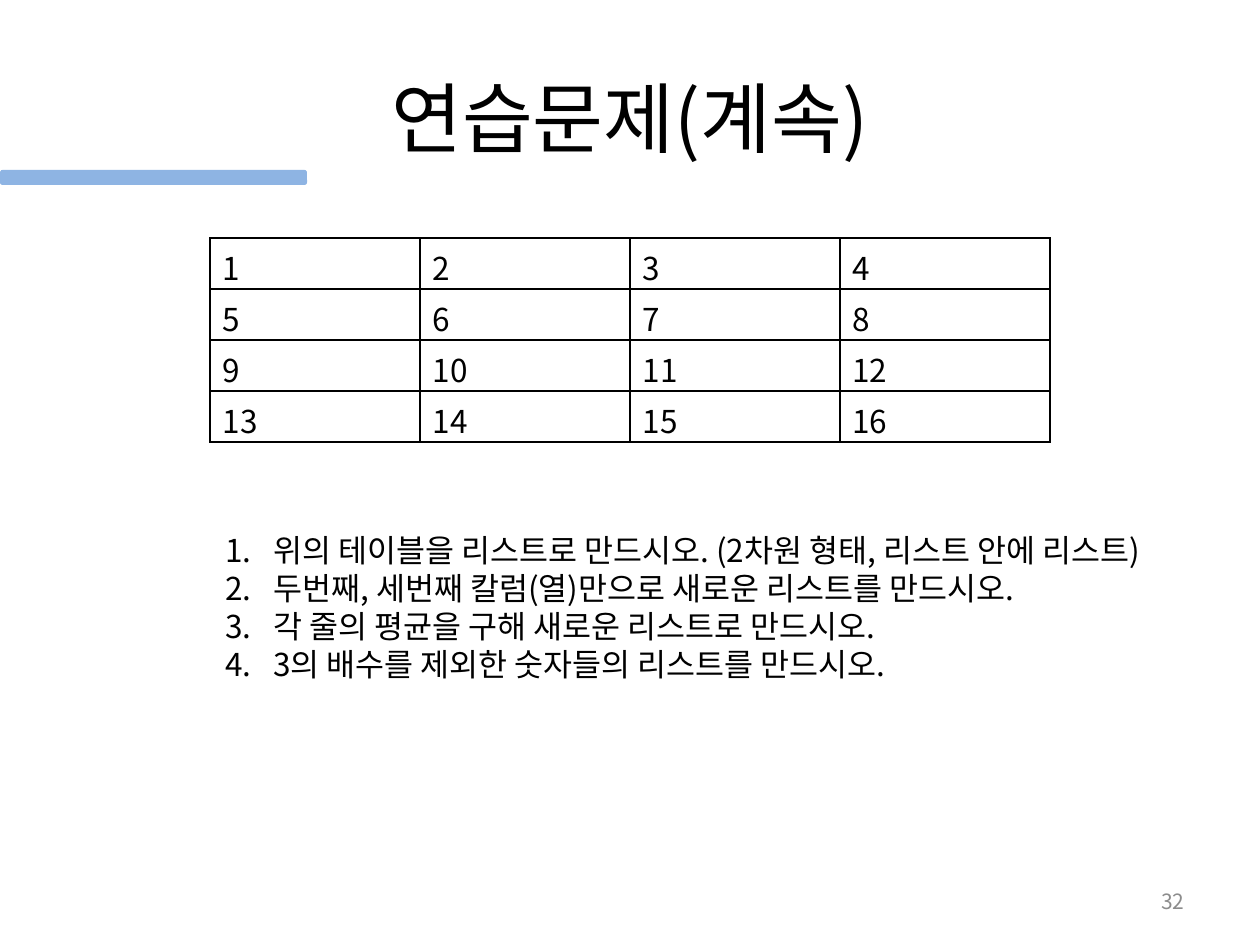
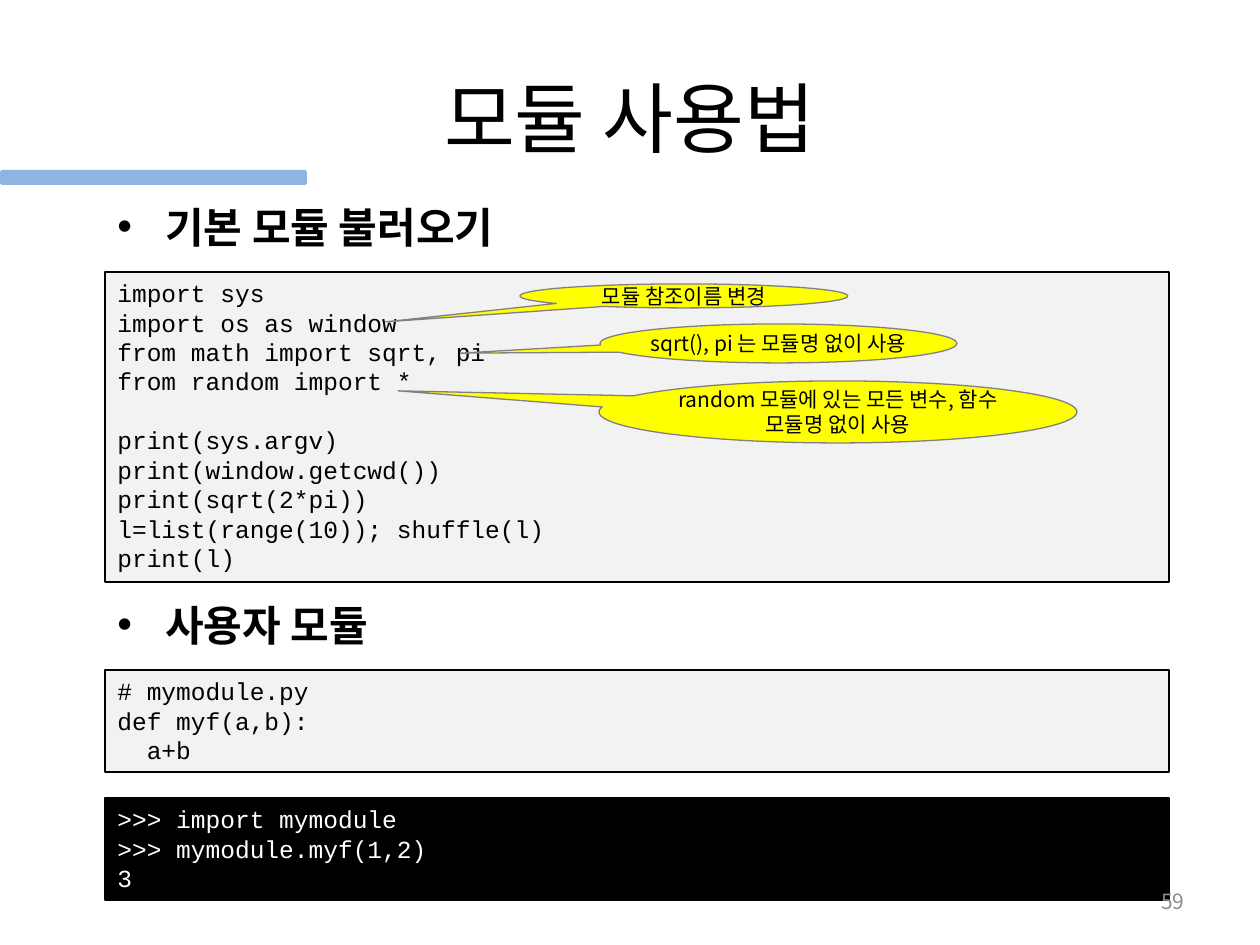
from lxml.etree import SubElement
from pptx import Presentation
from pptx.dml.color import RGBColor
from pptx.enum.shapes import MSO_SHAPE as Shape
from pptx.enum.text import MSO_ANCHOR as Anchor, PP_ALIGN as Align
from pptx.oxml.ns import qn
from pptx.util import Emu, Pt

# Shared look
BLACK = RGBColor(0x00, 0x00, 0x00)
WHITE = RGBColor(0xFF, 0xFF, 0xFF)
CODE_GRAY = RGBColor(0xF2, 0xF2, 0xF2)
CALLOUT_YELLOW = RGBColor(0xFF, 0xFF, 0x00)
CALLOUT_EDGE = RGBColor(0x80, 0x80, 0x80)
BAND_BLUE = RGBColor(0x8E, 0xB4, 0xE3)
NUMBER_GRAY = RGBColor(0x8C, 0x8C, 0x8C)
BODY_FONT = "Noto Sans CJK KR"
CODE_FONT = "Courier New"
PIXEL = 914400 // 126
LINE_HEIGHT = 1.2
CODE_SIZE = 14
HANGING = 48
CODE_LEFT, CODE_WIDTH = 105, 1064


def px(*lengths):
    return [Emu(length * PIXEL) for length in lengths]


def style(paragraph, size, color=BLACK, font=BODY_FONT, bold=None,
          align=Align.LEFT, tight=False):
    paragraph.alignment = align
    if tight:
        paragraph.line_spacing = Pt(size * LINE_HEIGHT)
    paragraph.font.size = Pt(size)
    paragraph.font.bold = bold
    paragraph.font.color.rgb = color
    paragraph.font.name = font
    SubElement(paragraph._p.pPr.defRPr, qn("a:ea"), typeface=font)


def set_bullet(paragraph, numbered=False):
    properties = paragraph._p.get_or_add_pPr()
    properties.set("marL", str(HANGING * PIXEL))
    properties.set("indent", str(-HANGING * PIXEL))
    if numbered:
        SubElement(properties, qn("a:buAutoNum"), type="arabicPeriod")
    else:
        SubElement(properties, qn("a:buFont"), typeface="Arial")
        SubElement(properties, qn("a:buChar"), char="•")


def write_lines(frame, lines):
    """Fill the frame with one paragraph per line and return them."""
    frame.text = "\n".join(lines)
    return frame.paragraphs


def add_text(slide, box, lines, anchor=Anchor.TOP):
    frame = slide.shapes.add_textbox(*px(*box)).text_frame
    frame.word_wrap = True
    frame.vertical_anchor = anchor
    return write_lines(frame, lines)


def add_panel(slide, kind, box, fill, edge=None):
    panel = slide.shapes.add_shape(kind, *px(*box))
    panel.shadow.inherit = False
    panel.fill.solid()
    panel.fill.fore_color.rgb = fill
    if edge is None:
        panel.line.fill.background()
    else:
        panel.line.color.rgb = edge
        panel.line.width = Pt(0.75)
    return panel


def add_title(slide, title):
    heading, = add_text(slide, (63, 38, 1134, 157), [title], Anchor.MIDDLE)
    style(heading, 44, align=Align.CENTER)


def add_footer_and_band(slide, number):
    page, = add_text(slide, (903, 876, 294, 50), [str(number)], Anchor.MIDDLE)
    style(page, 12, NUMBER_GRAY, align=Align.RIGHT)
    add_panel(slide, Shape.ROUNDED_RECTANGLE, (0, 170, 307, 15), BAND_BLUE)


def add_section(slide, top, width, text):
    section, = add_text(slide, (CODE_LEFT, top, width, 63), [text])
    set_bullet(section)
    style(section, 24, bold=True, tight=True)


def add_code(slide, top, height, code, fill=CODE_GRAY, color=BLACK):
    """Show code; empty lines become spacing and leading spaces an indent."""
    panel = add_panel(slide, Shape.RECTANGLE,
                      (CODE_LEFT, top, CODE_WIDTH, height), fill, BLACK)
    frame = panel.text_frame
    frame.word_wrap = True
    frame.vertical_anchor = Anchor.TOP
    lines = code.split("\n")
    shown = [number for number, line in enumerate(lines) if line]
    paragraphs = write_lines(frame, [lines[n].lstrip() for n in shown])
    for paragraph, number in zip(paragraphs, shown):
        style(paragraph, CODE_SIZE, color, CODE_FONT, tight=True)
        if number and not lines[number - 1]:
            paragraph.space_before = Pt(CODE_SIZE * LINE_HEIGHT)
        spaces = len(lines[number]) - len(lines[number].lstrip())
        if spaces:
            margin = Pt(spaces * CODE_SIZE * 0.6)
            paragraph._p.pPr.set("marL", str(int(margin)))


def add_callout(slide, box, tip, lines):
    callout = add_panel(slide, Shape.OVAL_CALLOUT, box,
                        CALLOUT_YELLOW, CALLOUT_EDGE)
    callout.adjustments[0], callout.adjustments[1] = tip
    callout.text_frame.word_wrap = False
    callout.text_frame.vertical_anchor = Anchor.MIDDLE
    for paragraph in write_lines(callout.text_frame, lines):
        style(paragraph, 12, align=Align.CENTER, tight=True)


def add_borders(cell):
    properties = cell._tc.get_or_add_tcPr()
    for side in ("lnL", "lnR", "lnT", "lnB"):
        border = SubElement(properties, qn(f"a:{side}"), w=str(int(Pt(1))))
        fill = SubElement(border, qn("a:solidFill"))
        SubElement(fill, qn("a:srgbClr"), val=str(BLACK))


def add_number_grid(slide, box, size):
    grid = slide.shapes.add_table(size, size, *px(*box)).table
    grid.first_row = grid.horz_banding = False
    for number, cell in enumerate(grid.iter_cells(), start=1):
        cell.text = str(number)
        style(cell.text_frame.paragraphs[0], 18)
        add_borders(cell)
        cell.fill.background()


def build_exercise(slide):
    add_title(slide, "연습문제(계속)")
    add_number_grid(slide, (210, 238, 840, 204), 4)
    tasks = [
        "위의 테이블을 리스트로 만드시오. (2차원 형태, 리스트 안에 리스트)",
        "두번째, 세번째 칼럼(열)만으로 새로운 리스트를 만드시오.",
        "각 줄의 평균을 구해 새로운 리스트로 만드시오.",
        "3의 배수를 제외한 숫자들의 리스트를 만드시오.",
    ]
    for task in add_text(slide, (213, 525, 1032, 165), tasks):
        set_bullet(task, numbered=True)
        style(task, 18, tight=True)
    add_footer_and_band(slide, 32)


def build_modules(slide):
    add_title(slide, "모듈 사용법")

    # Built-in modules, with remarks on the import lines
    add_code(slide, 272, 310, """import sys
import os as window
from math import sqrt, pi
from random import *

print(sys.argv)
print(window.getcwd())
print(sqrt(2*pi))
l=list(range(10)); shuffle(l)
print(l)""")
    add_callout(slide, (520, 284, 328, 24), (-0.91, 1.08),
                ["모듈 참조이름 변경"])
    add_callout(slide, (600, 324, 357, 39), (-0.89, 0.25),
                ["sqrt(), pi 는 모듈명 없이 사용"])
    add_callout(slide, (599, 381, 478, 62), (-0.92, -0.34),
                ["random 모듈에 있는 모든 변수, 함수", "모듈명 없이 사용"])
    add_section(slide, 195, 442, "기본 모듈 불러오기")

    # User module and its use in the shell
    add_code(slide, 670, 102, "# mymodule.py\ndef myf(a,b):\n  a+b")
    add_section(slide, 593, 300, "사용자 모듈")
    add_code(slide, 798, 102, ">>> import mymodule\n>>> mymodule.myf(1,2)\n3",
             BLACK, WHITE)
    add_footer_and_band(slide, 59)


def main():
    deck = Presentation()
    deck.slide_width, deck.slide_height = px(1260, 945)
    blank = deck.slide_layouts[6]
    for build in (build_exercise, build_modules):
        build(deck.slides.add_slide(blank))
    deck.save("out.pptx")


main()
